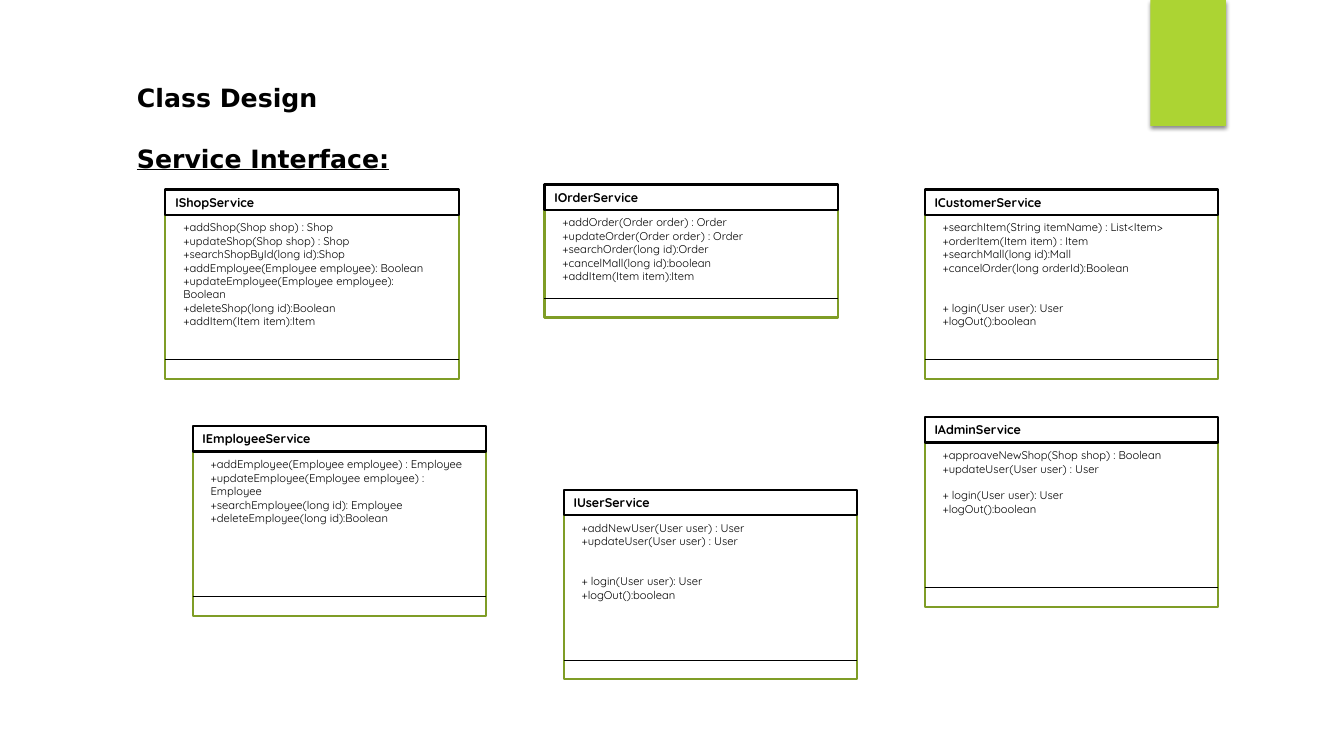
"""Build the class design slide showing the service interfaces."""
from lxml import etree
from pptx import Presentation
from pptx.dml.color import RGBColor
from pptx.enum.shapes import MSO_CONNECTOR, MSO_SHAPE
from pptx.enum.text import MSO_ANCHOR, PP_ALIGN
from pptx.oxml import parse_xml
from pptx.oxml.ns import qn
from pptx.util import Inches, Pt

BLACK, WHITE, GREEN, LIME = "000000", "FFFFFF", "7F9D26", "ACD433"
HEADING_FONT, CLASS_FONT = "DejaVu Sans", "Quicksand"
CLASS_WIDTH, HEADER_HEIGHT, FOOTER_HEIGHT = 2.91, 0.25, 0.19
METHOD_LINE = 9.6

LOGIN_METHODS = ["+ login(User user): User", "+logOut():boolean"]

# name, left, top, height, blank lines between groups, method groups
SERVICES = [
    ("IShopService", 1.64, 1.88, 1.87, 0, [[
        "+addShop(Shop shop) : Shop",
        "+updateShop(Shop shop) : Shop",
        "+searchShopById(long id):Shop",
        "+addEmployee(Employee employee): Boolean",
        "+updateEmployee(Employee employee): Boolean",
        "+deleteShop(long id):Boolean",
        "+addItem(Item item):Item",
    ]]),
    ("IOrderService", 5.4, 1.83, 1.31, 0, [[
        "+addOrder(Order order) : Order",
        "+updateOrder(Order order) : Order",
        "+searchOrder(long id):Order",
        "+cancelMall(long id):boolean",
        "+addItem(Item item):Item",
    ]]),
    ("IEmployeeService", 1.91, 4.23, 1.87, 0, [[
        "+addEmployee(Employee employee) : Employee",
        "+updateEmployee(Employee employee) : Employee",
        "+searchEmployee(long id): Employee",
        "+deleteEmployee(long id):Boolean",
    ]]),
    ("IUserService", 5.59, 4.86, 1.87, 2, [[
        "+addNewUser(User user) : User",
        "+updateUser(User user) : User",
    ], LOGIN_METHODS]),
    ("ICustomerService", 9.17, 1.88, 1.87, 2, [[
        "+searchItem(String itemName) : List<Item>",
        "+orderItem(Item item) : Item",
        "+searchMall(long id):Mall",
        "+cancelOrder(long orderId):Boolean",
    ], LOGIN_METHODS]),
    ("IAdminService", 9.17, 4.14, 1.87, 1, [[
        "+approaveNewShop(Shop shop) : Boolean",
        "+updateUser(User user) : User",
    ], LOGIN_METHODS]),
]

SHADOW = (
    '<a:effectLst xmlns:a="http://schemas.openxmlformats.org/drawingml/2006/main">'
    '<a:outerShdw blurRad="38100" dist="25400" dir="5400000" rotWithShape="0">'
    '<a:srgbClr val="000000"><a:alpha val="45000"/></a:srgbClr>'
    '</a:outerShdw></a:effectLst>'
)


def color(value):
    return RGBColor.from_string(value)


def add_box(slide, left, top, width, height, fill=None, line=None):
    box = slide.shapes.add_shape(
        MSO_SHAPE.RECTANGLE, Inches(left), Inches(top), Inches(width), Inches(height))
    box.shadow.inherit = False
    if fill:
        box.fill.solid()
        box.fill.fore_color.rgb = color(fill)
    else:
        box.fill.background()
    if line:
        box.line.color.rgb = color(line)
        box.line.width = Pt(1.5)
    else:
        box.line.fill.background()
    return box


def add_text_box(slide, left, top, width, height):
    return slide.shapes.add_textbox(
        Inches(left), Inches(top), Inches(width), Inches(height))


def write(paragraph, text, font, size, bold=False, underline=False):
    paragraph.alignment = PP_ALIGN.LEFT
    run = paragraph.add_run()
    run.text = text
    run.font.name = font
    run.font.size = Pt(size)
    run.font.bold = bold
    run.font.underline = underline
    run.font.color.rgb = color(BLACK)


def add_heading(slide, text, top, width, wrap, anchor, underline):
    frame = add_text_box(slide, 1.26, top, width, 0.4).text_frame
    frame.word_wrap = wrap
    frame.vertical_anchor = anchor
    write(frame.paragraphs[0], text, HEADING_FONT, 18, True, underline)


def add_divider(slide, left, top):
    divider = slide.shapes.add_connector(
        MSO_CONNECTOR.STRAIGHT, Inches(left), Inches(top),
        Inches(left + CLASS_WIDTH), Inches(top))
    divider.line.color.rgb = color(BLACK)
    divider.line.width = Pt(0.75)
    etree.SubElement(divider._element.spPr, qn("a:effectLst"))


def add_service(slide, name, left, top, height, blank_lines, groups):
    body_top = top + 0.01
    add_box(slide, left, body_top, CLASS_WIDTH, height, line=GREEN)
    header = add_box(slide, left, top, CLASS_WIDTH, HEADER_HEIGHT, WHITE, BLACK)
    header.text_frame.word_wrap = True
    header.text_frame.vertical_anchor = MSO_ANCHOR.TOP
    write(header.text_frame.paragraphs[0], name, CLASS_FONT, 9, True)

    methods = add_text_box(
        slide, left + 0.08, top + 0.26, 2.73, height - 0.42).text_frame
    methods.word_wrap = True
    paragraph = methods.paragraphs[0]
    for group_index, group in enumerate(groups):
        for method_index, method in enumerate(group):
            if group_index or method_index:
                paragraph = methods.add_paragraph()
            if group_index and not method_index:
                paragraph.space_before = Pt(blank_lines * METHOD_LINE)
            write(paragraph, method, CLASS_FONT, 8)
    add_divider(slide, left, body_top + height - FOOTER_HEIGHT)


def main():
    presentation = Presentation()
    presentation.slide_width, presentation.slide_height = Inches(13.33), Inches(7.5)
    slide = presentation.slides.add_slide(presentation.slide_layouts[6])

    tab = add_box(slide, 11.41, 0, 0.75, 1.25, LIME)
    properties = tab._element.spPr
    properties.replace(properties.find(qn("a:effectLst")), parse_xml(SHADOW))

    add_heading(slide, "Class Design", 0.77, 1.99, False, MSO_ANCHOR.TOP, False)
    add_heading(slide, "Service Interface:", 1.37, 7.63, True, MSO_ANCHOR.MIDDLE, True)
    for service in SERVICES:
        add_service(slide, *service)
    presentation.save("out.pptx")


if __name__ == "__main__":
    main()
